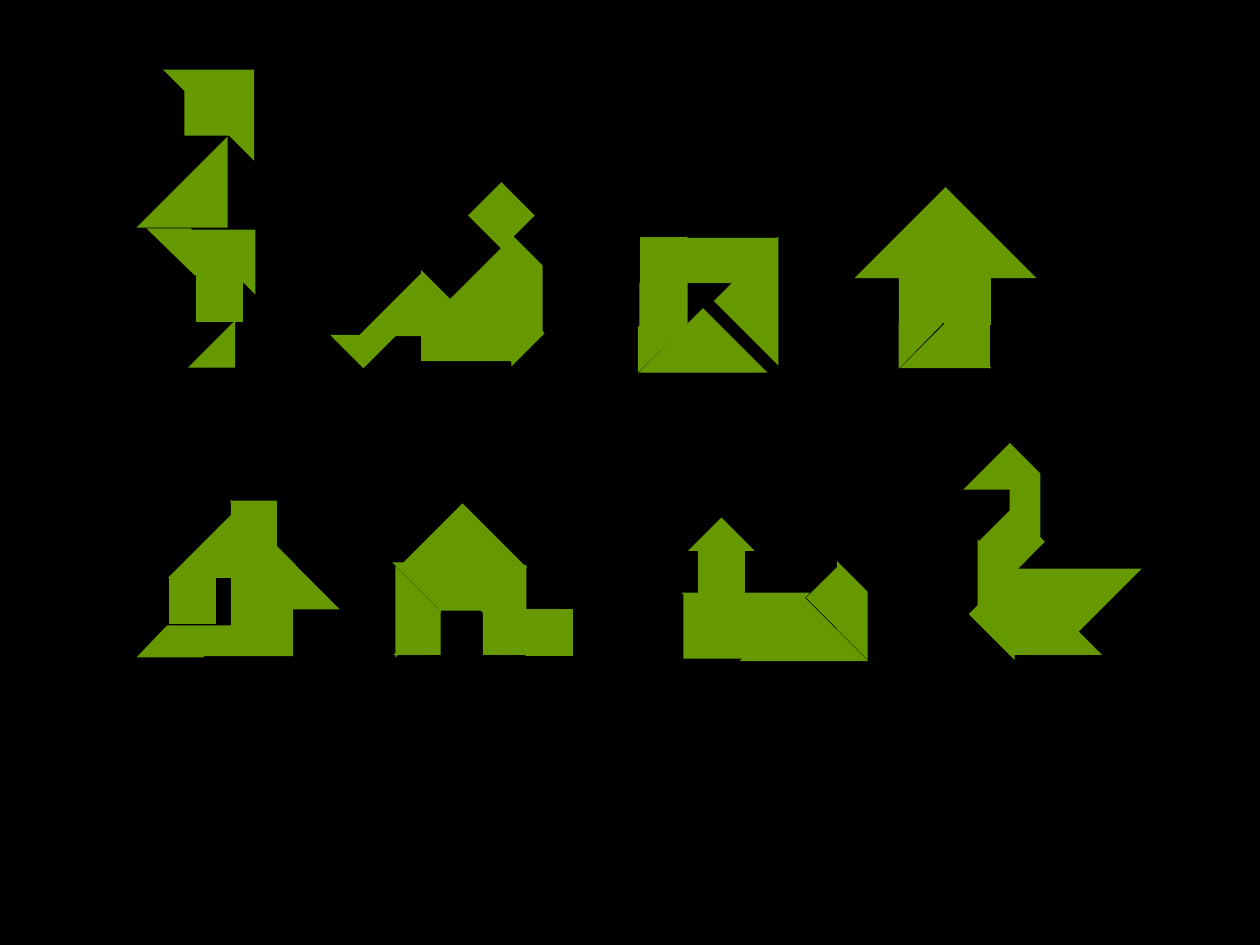
from lxml.etree import SubElement
from pptx import Presentation
from pptx.dml.color import RGBColor
from pptx.enum.shapes import MSO_SHAPE as SHAPE
from pptx.oxml.ns import qn
from pptx.util import Inches, Pt

BLACK, GREEN = "000000", "669900"
LARGE, MEDIUM, SMALL = 0.7, 0.49, 0.35  # legs of the three triangle sizes

# Triangles: size, left, top, rotation, flipped. Square: left, top, rotation.
# Parallelogram: its four corners.
RESTING_PERSON = dict(
    triangles=[(LARGE, 3.72, 2.03, 45, False), (SMALL, 2.71, 2.49, 45, True),
               (MEDIUM, 2.86, 2.17, 270, False), (LARGE, 3.35, 2.16, 0, False),
               (SMALL, 3.89, 2.47, 225, False)],
    square=(3.8, 1.53, 315),
    parallelogram=[(4.3, 2.63), (4.3, 2.11), (4.07, 1.88), (4.07, 2.4)])
STANDING_PERSON = dict(
    triangles=[(LARGE, 1.31, 0.56, 180, False), (MEDIUM, 1.53, 1.83, 180, False),
               (LARGE, 1.1, 1.1, 270, False), (SMALL, 1.47, 0.72, 0, False),
               (SMALL, 1.51, 2.56, 0, True)],
    square=(1.56, 2.19, 0),
    parallelogram=[(1.18, 1.82), (1.55, 2.18), (1.88, 2.18), (1.51, 1.82)])
FRAME = dict(
    triangles=[(LARGE, 5.82, 2.04, 45, False), (MEDIUM, 5.57, 1.65, 315, False),
               (LARGE, 5.23, 2.6, 135, False), (SMALL, 5.45, 1.89, 0, False),
               (SMALL, 5.08, 2.25, 180, True)],
    square=(5.09, 1.89, 0),
    parallelogram=[(5.07, 2.94), (5.45, 2.57), (5.45, 2.24), (5.07, 2.6)])
ARROW = dict(
    triangles=[(MEDIUM, 7.26, 2.67, 225, True), (LARGE, 7.51, 1.5, 0, False),
               (LARGE, 6.8, 1.5, 270, False), (SMALL, 7.5, 2.56, 180, False),
               (SMALL, 7.14, 2.21, 180, True)],
    square=(7.5, 2.21, 0),
    parallelogram=[(7.14, 2.91), (7.5, 2.54), (7.5, 2.21), (7.14, 2.57)])
HOUSE_WITH_CHIMNEY = dict(
    triangles=[(MEDIUM, 1.35, 4.09, 0, True), (LARGE, 1.49, 4.13, 225, False),
               (LARGE, 1.62, 4.5, 270, False), (SMALL, 1.84, 3.98, 180, False),
               (SMALL, 2.33, 4.48, 90, True)],
    square=(1.35, 4.59, 0),
    parallelogram=[(1.1, 5.21), (1.61, 5.21), (1.85, 4.97), (1.33, 4.97)])
HOUSE_WITH_ANNEX = dict(
    triangles=[(LARGE, 3.32, 4.15, 135, False), (LARGE, 3.47, 4.49, 180, False),
               (SMALL, 3.14, 4.84, 270, False), (SMALL, 3.84, 4.84, 90, True),
               (MEDIUM, 2.9, 4.61, 315, True)],
    square=(4.18, 4.84, 0),
    parallelogram=[(3.13, 4.47), (3.5, 4.84), (3.83, 4.84), (3.47, 4.47)])
CHURCH = dict(
    triangles=[(LARGE, 6.03, 4.89, 225, True), (MEDIUM, 5.43, 4.73, 90, True),
               (LARGE, 5.57, 4.36, 45, True), (SMALL, 5.55, 4.19, 135, False),
               (SMALL, 6.48, 4.57, 135, True)],
    square=(5.55, 4.35, 0),
    parallelogram=[(6.65, 4.47), (6.65, 4.99), (6.88, 5.22), (6.88, 4.7)])
SWAN = dict(
    triangles=[(LARGE, 8.2, 4.17, 45, True), (LARGE, 8.03, 4.49, 90, True),
               (SMALL, 7.66, 3.53, 270, False), (SMALL, 7.59, 4.37, 225, False),
               (MEDIUM, 7.8, 4.63, 45, False)],
    square=(7.85, 4.12, 315),
    parallelogram=[(8.02, 4.04), (8.25, 4.28), (8.25, 3.76), (8.02, 3.53)])
FIGURES = [RESTING_PERSON, STANDING_PERSON, FRAME, ARROW,
           HOUSE_WITH_CHIMNEY, HOUSE_WITH_ANNEX, CHURCH, SWAN]


def rgb(color):
    return RGBColor.from_string(color)


class Tangram:
    """Draws tangram pieces in one style on the current slide."""

    def __init__(self, s, color):
        self.s, self.color = s, rgb(color)

    def style(self, sp):
        sp.shadow.inherit = False
        sp.fill.solid()
        sp.fill.fore_color.rgb = self.color
        sp.line.color.rgb = self.color
        sp.line.width = Pt(1)
        line = sp.element.spPr.find(qn("a:ln"))
        SubElement(line, qn("a:miter")).set("lim", "800000")

    def triangle(self, shapes, size, left, top, rotation, flipped):
        sp = shapes.add_shape(SHAPE.RIGHT_TRIANGLE, Inches(left), Inches(top),
                              Inches(size), Inches(size))
        sp.rotation = rotation
        if flipped:
            sp.element.spPr.find(qn("a:xfrm")).set("flipH", "1")
        self.style(sp)

    def square(self, shapes, left, top, rotation):
        sp = shapes.add_shape(SHAPE.RECTANGLE, Inches(left), Inches(top),
                              Inches(0.36), Inches(0.36))
        sp.rotation = rotation
        self.style(sp)

    def parallelogram(self, shapes, corners):
        start, *rest = [(Inches(x), Inches(y)) for x, y in corners]
        outline = shapes.build_freeform(*start)
        outline.add_line_segments(rest, close=True)
        self.style(outline.convert_to_shape())

    def figure(self, triangles, square, parallelogram):
        shapes = self.s.shapes.add_group_shape().shapes
        for triangle in triangles:
            self.triangle(shapes, *triangle)
        self.square(shapes, *square)
        self.parallelogram(shapes, parallelogram)


def main():
    prs = Presentation()
    prs.slide_width, prs.slide_height = Inches(10), Inches(7.5)
    s = prs.slides.add_slide(prs.slide_layouts[6])
    s.background.fill.solid()
    s.background.fill.fore_color.rgb = rgb(BLACK)
    tangram = Tangram(s, GREEN)
    for pieces in FIGURES:
        tangram.figure(**pieces)
    prs.save("out.pptx")


if __name__ == "__main__":
    main()
